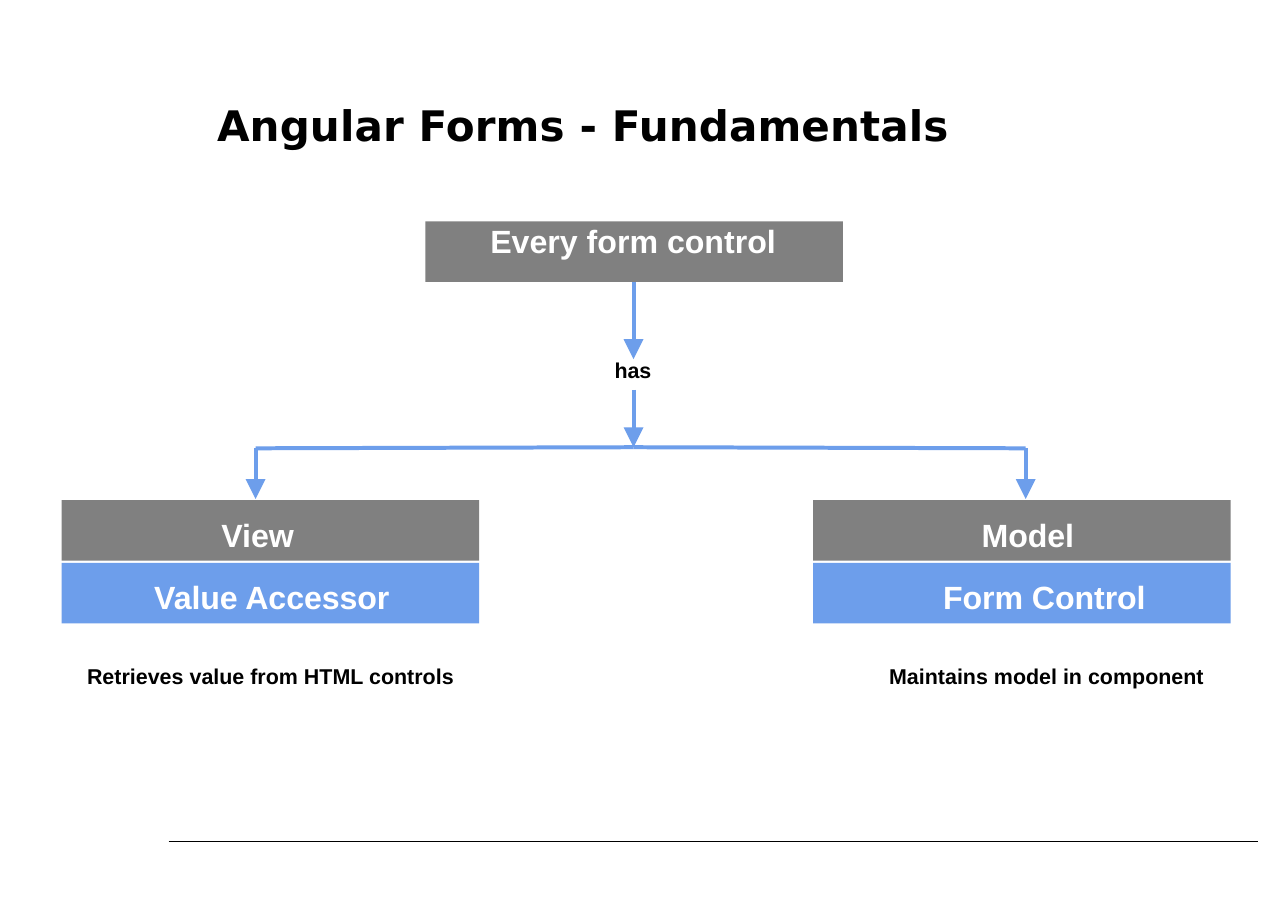
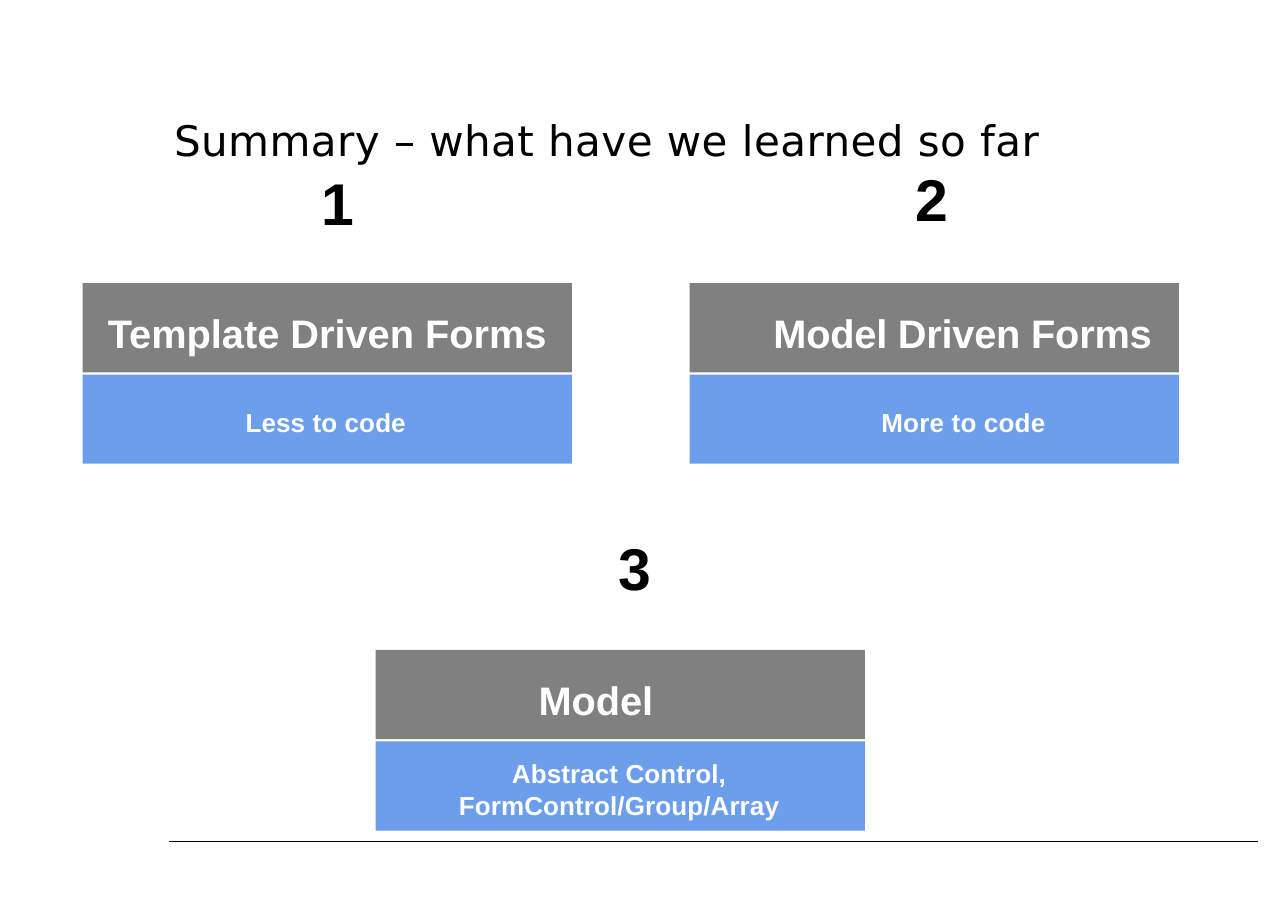
from lxml import etree
from pptx import Presentation
from pptx.dml.color import RGBColor
from pptx.enum.shapes import MSO_CONNECTOR, MSO_SHAPE
from pptx.enum.text import MSO_ANCHOR, PP_ALIGN
from pptx.oxml.ns import qn
from pptx.util import Inches, Pt

BLACK = RGBColor(0x00, 0x00, 0x00)
WHITE = RGBColor(0xFF, 0xFF, 0xFF)
GRAY = RGBColor(0x80, 0x80, 0x80)
BLUE = RGBColor(0x6D, 0x9E, 0xEB)
RECT = MSO_SHAPE.RECTANGLE
STRAIGHT = MSO_CONNECTOR.STRAIGHT
TOP = MSO_ANCHOR.TOP
LEFT, CENTER = PP_ALIGN.LEFT, PP_ALIGN.CENTER
TITLE = {"size": 27.5, "font": "DejaVu Sans"}


def put(slide, text, left, top, width, height, size=14, font="Arial", bold=True,
        fill=None, inset=0, drop=0, right=0, align=LEFT, spacing=0):
    """Add text, in a filled bar if a fill is given; inset and drop place it there."""
    area = [Inches(n) for n in (left, top, width, height)]
    if fill is None:
        shape = slide.shapes.add_textbox(*area)
    else:
        shape = slide.shapes.add_shape(RECT, *area)
        shape.shadow.inherit = False
        shape.fill.solid()
        shape.fill.fore_color.rgb = fill
        shape.line.fill.background()
    frame = shape.text_frame
    frame.word_wrap = True
    frame.vertical_anchor = TOP
    frame.margin_left, frame.margin_top = Inches(inset), Inches(drop)
    frame.margin_right, frame.margin_bottom = Inches(right), 0
    para = frame.paragraphs[0]
    para.alignment = align
    run = para.add_run()
    run.text = text
    run.font.size = Pt(size)
    run.font.name = font
    run.font.bold = bold
    run.font.color.rgb = BLACK if fill is None else WHITE
    run.font._element.set("spc", str(round(spacing * 100)))


def rule(slide, x1, y1, x2, y2, color=BLUE, weight=2.6, arrow=False):
    line = slide.shapes.add_connector(
        STRAIGHT, Inches(x1), Inches(y1), Inches(x2), Inches(y2))
    line.line.color.rgb = color
    line.line.width = Pt(weight)
    if arrow:
        etree.SubElement(line.line._get_or_add_ln(), qn("a:tailEnd"),
                         type="triangle", w="lg", len="lg")
    etree.SubElement(line._element.spPr, qn("a:effectLst"))


prs = Presentation()
prs.slide_width, prs.slide_height = Inches(11.69), Inches(8.27)
basics, recap = [prs.slides.add_slide(prs.slide_layouts[6]) for _ in range(2)]
for slide in (basics, recap):
    rule(slide, 1.53, 7.64, 11.42, 7.64, color=BLACK, weight=0.94)

# Fundamentals: a tree from the control to its view and model
put(basics, "Angular Forms - Fundamentals", 1.97, 0.9, 7.15, 0.46,
    spacing=0.1, **TITLE)
BAR_W, BAR_H = 3.79, 0.55
put(basics, "Every form control", 3.86, 2.01, BAR_W, BAR_H, size=21,
    fill=GRAY, inset=0.59)
put(basics, "has", 5.58, 3.24, 0.5, 0.22, spacing=-0.1)

MID, FORK, DROP = 5.75, 4.06, 4.07
VIEW_X, MODEL_X = 2.32, 9.31
for x, start, end in ((MID, 2.56, 3.26), (MID, 3.54, FORK),
                      (VIEW_X, DROP, 4.53), (MODEL_X, DROP, 4.53)):
    rule(basics, x, start, x, end, arrow=True)
for x in (VIEW_X, MODEL_X):
    rule(basics, MID, FORK, x, DROP)

# left edge, then text and inset of the head and the part, then note and its left
branches = (
    (0.56, "View", 1.45, "Value Accessor", 0.84,
     "Retrieves value from HTML controls", 0.79),
    (7.38, "Model", 1.53, "Form Control", 1.18,
     "Maintains model in component", 8.07),
)
for left, head, head_in, part, part_in, note, note_x in branches:
    for text, top, fill, inset, drop in ((head, 4.54, GRAY, head_in, 0.14),
                                         (part, 5.11, BLUE, part_in, 0.13)):
        put(basics, text, left, top, BAR_W, BAR_H, size=21, fill=fill,
            inset=inset, drop=drop, spacing=-0.05)
    put(basics, note, note_x, 6.02, 3.5, 0.22)

# Summary: three numbered cards
put(recap, "Summary – what have we learned so far", 1.58, 1.04, 9.02, 0.42,
    bold=False, spacing=0.3, **TITLE)
CARD_W, CARD_H, STEP = 4.44, 0.82, 0.83
# number and its place, card corner, head with inset and spacing, text and its format
cards = (
    ("1", 2.92, 1.51, 0.75, 2.57, "Template Driven Forms", 0.23, -0.03,
     "Less to code", {"inset": 1.48, "drop": 0.29, "spacing": 0.05}),
    ("2", 8.31, 1.48, 6.26, 2.57, "Model Driven Forms", 0.76, -0.17,
     "More to code", {"inset": 1.74, "drop": 0.29, "spacing": 0.1}),
    ("3", 5.61, 4.83, 3.41, 5.9, "Model", 1.48, -0.1,
     "Abstract Control, FormControl/Group/Array",
     {"inset": 0.72, "right": 0.74, "drop": 0.15, "align": CENTER,
      "spacing": 0.05}),
)
for number, num_x, num_y, left, top, head, inset, gap, text, form in cards:
    put(recap, number, num_x, num_y, 0.4, 0.57, size=38.5, spacing=0.2)
    put(recap, head, left, top, CARD_W, CARD_H - 0.01, size=26, fill=GRAY,
        inset=inset, drop=0.23, spacing=gap)
    put(recap, text, left, top + STEP, CARD_W, CARD_H - 0.01, size=17,
        fill=BLUE, **form)

prs.save("out.pptx")
